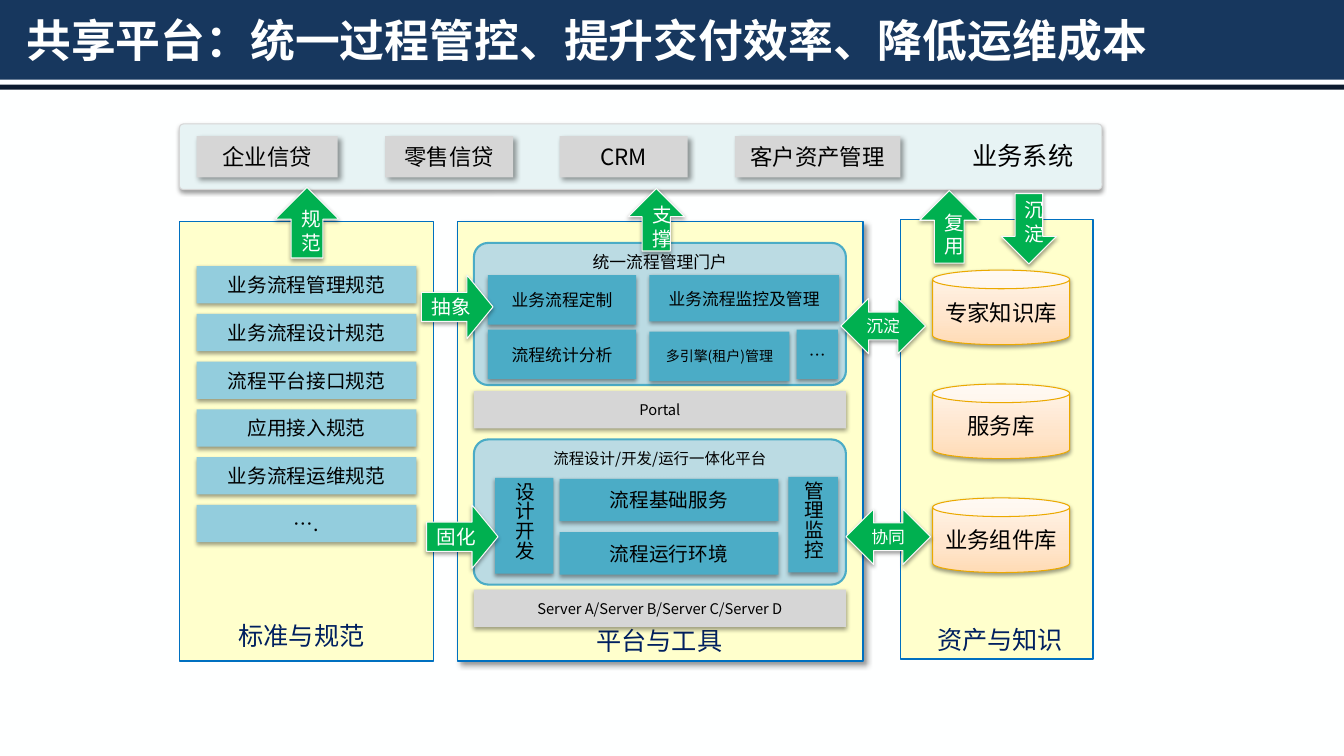
from copy import deepcopy

from lxml import etree
from pptx import Presentation
from pptx.dml.color import RGBColor
from pptx.enum import shapes, text
from pptx.oxml.ns import qn
from pptx.util import Inches, Pt

FONT = "Noto Sans CJK SC"
KIND = shapes.MSO_SHAPE
COLORS = {
    "white": "FEFFFF", "navy": "17375E", "rule": "0C1B2F", "black": "000000",
    "systems": "E7F3F4", "grey": "D6D6D6", "panel": "FFFFCC", "panel_line": "0070C0",
    "caption": "002060", "standard": "93CDDD", "zone": "BBDBE3", "tool": "4BACC6",
    "can_line": "EBA900", "arrow": "00B050", "arrow_line": "F9F9F9", "arrow_text": "FFFFFF",
}
CAN_STOPS = [(0, "FFDBB5"), (0.35, "FFE5CB"), (1, "FFF5EB")]
# blur, distance (points), angle, opacity %
SOFT, DEEP = (3.1, 1.6, 90, 38), (4, 3, 45, 40)

TITLE = "共享平台：统一过程管控、提升交付效率、降低运维成本"
SYSTEMS = [("企业信贷", 1.95, 1.4), ("零售信贷", 3.82, 1.27), ("CRM", 5.55, 1.27), ("客户资产管理", 7.29, 1.64)]
# panel box, shadow, caption, caption box
PANELS = [
    ((8.93, 2.18, 1.91, 4.36), None, "资产与知识", (9.19, 6.14, 1.46, 0.4)),
    ((1.78, 2.2, 2.52, 4.36), None, "标准与规范", (2.26, 6.1, 1.46, 0.4)),
    ((4.54, 2.2, 4.02, 4.36), DEEP, "平台与工具", (5.17, 6.15, 2.74, 0.4)),
]
STANDARDS = ["业务流程管理规范", "业务流程设计规范", "流程平台接口规范", "应用接入规范", "业务流程运维规范", "…."]
LIBRARIES = ["专家知识库", "服务库", "业务组件库"]
ZONES = [("统一流程管理门户", 2.41, 1.41, 12), ("流程设计/开发/运行一体化平台", 4.36, 1.44, 11)]
BASES = [("Portal", 3.88), ("Server A/Server B/Server C/Server D", 5.85)]
TOOLS = [
    ("业务流程定制", (4.84, 2.73, 1.47, 0.49), 12),
    ("业务流程监控及管理", (6.44, 2.73, 1.88, 0.46), 12),
    ("流程统计分析", (4.84, 3.27, 1.47, 0.49), 12),
    ("多引擎(租户)管理", (6.44, 3.29, 1.39, 0.49), 10),
    ("…", (7.9, 3.27, 0.41, 0.49), 12),
    ("流程基础服务", (5.55, 4.75, 2.17, 0.42), 14),
    ("流程运行环境", (5.55, 5.28, 2.17, 0.42), 14),
]
VERTICAL_TOOLS = [("设计开发", (4.91, 4.74, 0.58, 0.95)), ("管理监控", (7.82, 4.73, 0.49, 0.95))]
ARROWS = [
    ("复用", KIND.UP_ARROW, (9.12, 1.89, 0.59, 0.72), 14),
    ("沉淀", KIND.DOWN_ARROW, (9.93, 1.92, 0.55, 0.7), 14),
    ("规范", KIND.UP_ARROW, (2.73, 1.86, 0.63, 0.7), 14),
    ("支撑", KIND.UP_ARROW, (6.23, 1.87, 0.56, 0.62), 14),
    ("抽象", KIND.RIGHT_ARROW, (4.18, 2.73, 0.71, 0.63), 14),
    ("固化", KIND.RIGHT_ARROW, (4.23, 5.01, 0.71, 0.63), 14),
    ("沉淀", KIND.LEFT_RIGHT_ARROW, (8.34, 2.96, 0.84, 0.55), 12),
    ("协同", KIND.LEFT_RIGHT_ARROW, (8.39, 5.05, 0.84, 0.55), 12),
]


def rgb(name):
    return RGBColor.from_string(COLORS[name])


def write(shape, words, size, color="black", align=text.PP_ALIGN.CENTER, bold=False):
    frame = shape.text_frame
    frame.text = words
    frame.word_wrap = True
    paragraph = frame.paragraphs[0]
    paragraph.alignment = align
    for run in paragraph.runs:
        run.font.size, run.font.bold = Pt(size), bold
        run.font.name, run.font.color.rgb = FONT, rgb(color)
        east_asian = etree.SubElement(run.font._element, qn("a:ea"))
        east_asian.set("typeface", FONT)


def cast_shadow(shape, blur, distance, angle, opacity):
    effects = shape.element.spPr.find(qn("a:effectLst"))
    outer = etree.SubElement(effects, qn("a:outerShdw"), blurRad=str(Pt(blur)), dist=str(Pt(distance)),
                             dir=str(angle * 60000), algn="ctr", rotWithShape="0")
    tint = etree.SubElement(outer, qn("a:srgbClr"), val=COLORS["black"])
    etree.SubElement(tint, qn("a:alpha"), val=str(opacity * 1000))


def draw(box, fill, kind=KIND.RECTANGLE, line=None, width=0.75, shadow=None):
    shape = slide.shapes.add_shape(kind, *map(Inches, box))
    shape.shadow.inherit = False
    shape.fill.solid()
    shape.fill.fore_color.rgb = rgb(fill)
    if line:
        shape.line.color.rgb = rgb(line)
        shape.line.width = Pt(width)
    else:
        shape.line.fill.background()
    if shadow:
        cast_shadow(shape, *shadow)
    return shape


def label(words, box, color):
    write(slide.shapes.add_textbox(*map(Inches, box)), words, 18, color)


def shade_can(can):
    can.fill.gradient()
    can.fill.gradient_angle = 90
    stops = can.element.spPr.find(".//" + qn("a:gsLst"))
    stops.append(deepcopy(stops[0]))
    for stop, (position, color) in zip(can.fill.gradient_stops, CAN_STOPS):
        stop.position = position
        stop.color.rgb = RGBColor.from_string(color)


deck = Presentation()
deck.slide_width, deck.slide_height = Inches(13.33), Inches(7.5)
slide = deck.slides.add_slide(deck.slide_layouts[5])
slide.background.fill.solid()
slide.background.fill.fore_color.rgb = rgb("white")

# Header
title = slide.shapes.title
title.left, title.top, title.width, title.height = map(Inches, (0.16, 0.09, 13.02, 0.6))
write(title, TITLE, 32, "white", text.PP_ALIGN.LEFT, True)
title.text_frame.vertical_anchor = text.MSO_ANCHOR.MIDDLE
for top, height, color in [(0, 0.79, "navy"), (0.84, 0.05, "rule")]:
    band = draw((0, top, 13.33, height), color)
    title.element.addprevious(band.element)

# Business systems
systems_bar = draw((1.78, 1.23, 9.15, 0.65), "systems", KIND.ROUNDED_RECTANGLE, "grey", shadow=SOFT)
systems_bar.adjustments[0] = 0.06
label("业务系统", (9.29, 1.34, 1.71, 0.4), "black")
for name, left, width in SYSTEMS:
    write(draw((left, 1.35, width, 0.41), "grey", shadow=DEEP), name, 16)

for box, shadow, caption, caption_box in PANELS:
    draw(box, "panel", line="panel_line", width=1, shadow=shadow)
    label(caption, caption_box, "caption")

for row, name in enumerate(STANDARDS):
    write(draw((1.95, 2.64 + row * 2.37 / 5, 2.18, 0.37), "standard", shadow=SOFT), name, 14)

for row, name in enumerate(LIBRARIES):
    library = draw((9.25, 2.68 + row * 1.13, 1.36, 0.74), "panel", KIND.CAN, "can_line", shadow=SOFT)
    shade_can(library)
    write(library, name, 16)

# Platform and tools
for name, top, height, size in ZONES:
    zone = draw((4.7, top, 3.69, height), "zone", KIND.ROUNDED_RECTANGLE, "tool", 1.5)
    zone.adjustments[0] = 0.1
    write(zone, name, size)
    zone.text_frame.vertical_anchor = text.MSO_ANCHOR.TOP
for name, top in BASES:
    write(draw((4.7, top, 3.69, 0.37), "grey", shadow=SOFT), name, 10.5)
for name, box, size in TOOLS:
    write(draw(box, "tool", shadow=SOFT), name, size)
for name, box in VERTICAL_TOOLS:
    tool = draw(box, "tool", shadow=SOFT)
    write(tool, name, 14)
    frame = tool.text_frame
    frame.margin_left = frame.margin_right = frame.margin_top = frame.margin_bottom = Inches(0.04)
    frame._txBody.bodyPr.set("vert", "eaVert")

for name, kind, box, size in ARROWS:
    arrow = draw(box, "arrow", kind, "arrow_line", shadow=SOFT)
    write(arrow, name, size, "arrow_text")
    if kind == KIND.RIGHT_ARROW:
        arrow.adjustments[0], arrow.adjustments[1] = 0.46, 0.41
        arrow.text_frame.word_wrap = False

deck.save("out.pptx")
